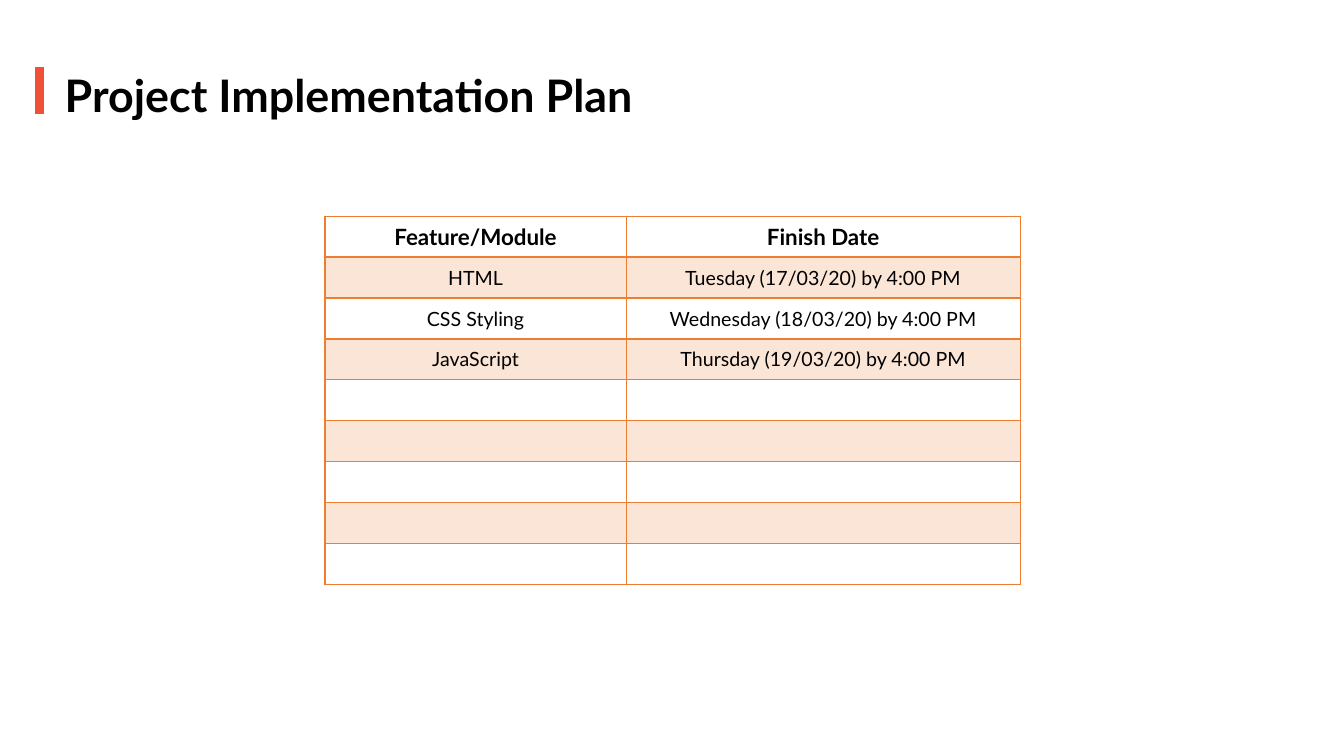
import pptx
import pptx.util
import pptx.dml.color
import pptx.enum.shapes
import pptx.enum.text
import lxml.etree
from pptx.util import Cm, Pt


def rgb(value):
    return pptx.dml.color.RGBColor.from_string(value)


def add_run(p, text, size, bold):
    r = p.add_run()
    r.text = text
    r.font.name = "Lato"
    r.font.size = Pt(size)
    r.font.bold = bold
    r.font.color.rgb = rgb("000000")


ORANGE = "ED7D31"
rows = [
    ("Feature/Module", "Finish Date"),
    ("HTML", "Tuesday (17/03/20) by 4:00 PM"),
    ("CSS Styling", "Wednesday (18/03/20) by 4:00 PM"),
    ("JavaScript", "Thursday (19/03/20) by 4:00 PM"),
] + [("", "")] * 5
widths = [7.59, 9.93]
row_height = 1.03

prs = pptx.Presentation()
prs.slide_width = Cm(33.87)
prs.slide_height = Cm(19.05)
s = prs.slides.add_slide(prs.slide_layouts[6])

bar = s.shapes.add_shape(
    pptx.enum.shapes.MSO_SHAPE.RECTANGLE, Cm(0.87), Cm(1.68), Cm(0.26), Cm(1.2))
bar.shadow.inherit = False
bar.fill.solid()
bar.fill.fore_color.rgb = rgb("F05136")
bar.line.color.rgb = rgb("FFFFFF")
bar.line.width = Pt(1)

title = s.shapes.add_textbox(Cm(1.38), Cm(1.57), Cm(16.3), Cm(1.62))
tf = title.text_frame
tf.word_wrap = False
tf.auto_size = pptx.enum.text.MSO_AUTO_SIZE.SHAPE_TO_FIT_TEXT
add_run(tf.paragraphs[0], "Project Implementation Plan", 32, True)

table = s.shapes.add_table(
    len(rows), len(widths), Cm(8.19), Cm(5.45),
    Cm(sum(widths)), Cm(row_height * len(rows))).table
table.first_row = False
table.horz_banding = False
for column, width in zip(table.columns, widths):
    column.width = Cm(width)

for i, texts in enumerate(rows):
    table.rows[i].height = Cm(row_height)
    for j, text in enumerate(texts):
        cell = table.cell(i, j)
        cell.vertical_anchor = pptx.enum.text.MSO_ANCHOR.MIDDLE
        tcPr = cell._tc.get_or_add_tcPr()
        for side in "LRTB":
            below_header = (i, side) in [(0, "B"), (1, "T")]
            ln = lxml.etree.SubElement(
                tcPr, pptx.oxml.ns.qn("a:ln" + side), w=str(Pt(2 if below_header else 1)))
            fill = lxml.etree.SubElement(ln, pptx.oxml.ns.qn("a:solidFill"))
            lxml.etree.SubElement(fill, pptx.oxml.ns.qn("a:srgbClr"), val=ORANGE)
        cell.fill.solid()
        cell.fill.fore_color.rgb = rgb("FBE5D6" if i % 2 else "FFFFFF")
        p = cell.text_frame.paragraphs[0]
        p.alignment = pptx.enum.text.PP_ALIGN.CENTER
        if text:
            add_run(p, text, 14 if i else 16, i == 0)

prs.save("out.pptx")
